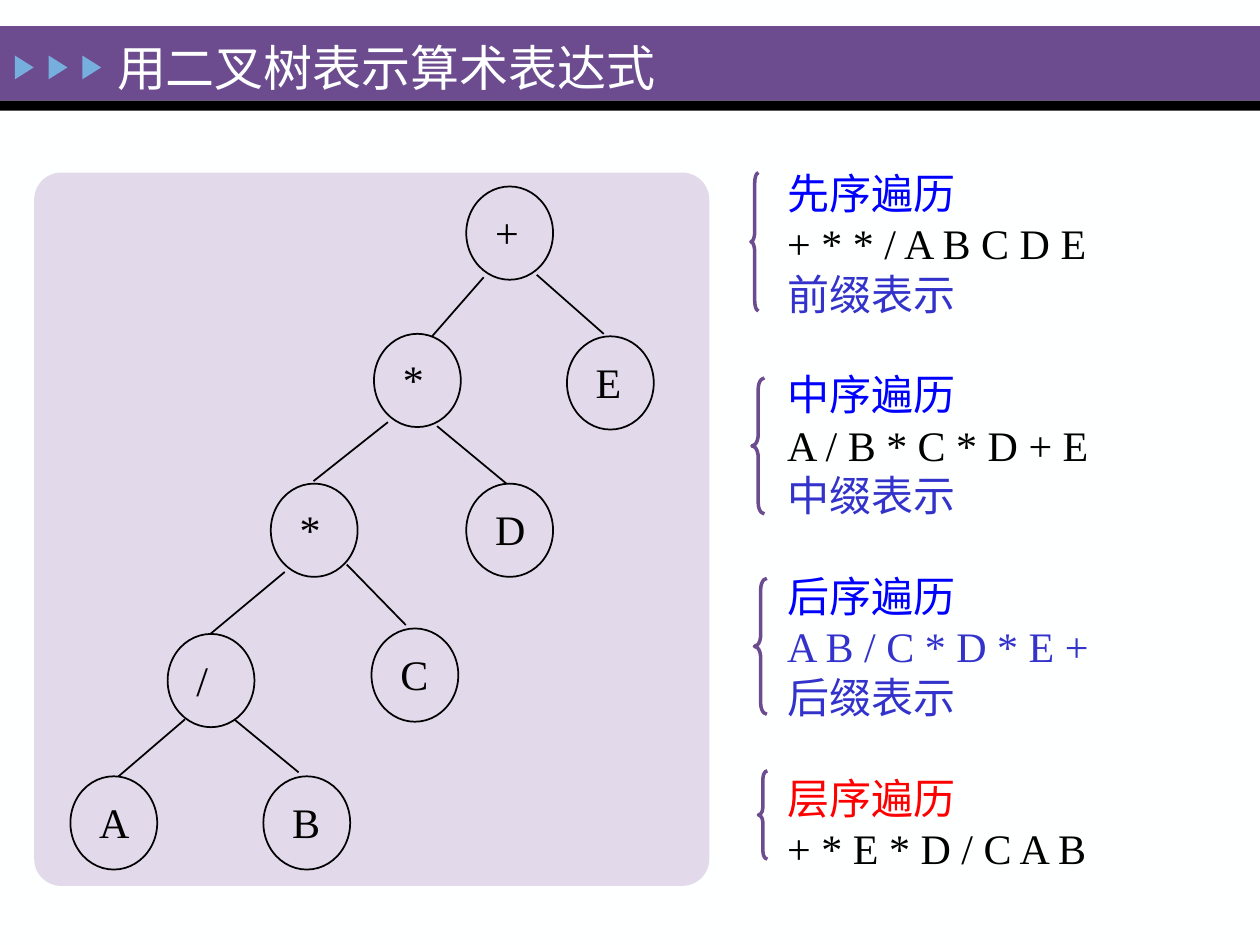
import pptx
import pptx.util
import pptx.dml.color
import pptx.enum.shapes
import pptx.enum.text
import pptx.oxml.ns
from lxml import etree

Cm, Pt = pptx.util.Cm, pptx.util.Pt
RGBColor = pptx.dml.color.RGBColor
SHAPE = pptx.enum.shapes.MSO_SHAPE
ANCHOR = pptx.enum.text.MSO_ANCHOR
FIT = pptx.enum.text.MSO_AUTO_SIZE

PURPLE = RGBColor(0x6C, 0x4C, 0x8F)
LILAC = RGBColor(0xE2, 0xD9, 0xEB)
SKY = RGBColor(0x76, 0xAE, 0xDD)
BLACK = RGBColor(0, 0, 0)
WHITE = RGBColor(0xFE, 0xFF, 0xFF)
BLUE = RGBColor(0, 0, 0xFF)
INDIGO = RGBColor(0x33, 0x33, 0xCC)
RED = RGBColor(0xFF, 0, 0)
FONT = "Times New Roman"

TITLE = "用二叉树表示算术表达式"
NODE_W, NODE_H = 1.75, 1.88
# label, left, top, label width
NODES = [
    ("+", 9.4, 3.76, 1.09),
    ("*", 7.54, 6.73, 1.04),
    ("E", 11.43, 6.78, 1.14),
    ("*", 5.46, 9.75, 1.04),
    ("D", 9.4, 9.75, 1.24),
    ("/", 3.38, 12.78, 0.81),
    ("C", 7.49, 12.67, 1.19),
    ("A", 1.42, 15.65, 1.24),
    ("B", 5.31, 15.65, 1.19),
]
# parent end x, y, child end x, y
EDGES = [
    (9.75, 5.59, 8.71, 6.78),
    (10.82, 5.54, 12.17, 6.73),
    (7.82, 8.51, 6.32, 9.7),
    (8.81, 8.59, 10.21, 9.75),
    (5.74, 11.53, 4.24, 12.78),
    (6.99, 11.38, 8.18, 12.6),
    (3.73, 14.5, 2.39, 15.65),
    (4.72, 14.5, 6.02, 15.57),
]
ORDERS = [
    [("先序遍历", BLUE), ("+ * * / A B C D E", BLACK), ("前缀表示", INDIGO)],
    [("中序遍历", BLUE), ("A / B * C * D + E", BLACK), ("中缀表示", INDIGO)],
    [("后序遍历", BLUE), ("A B / C * D * E +", INDIGO), ("后缀表示", INDIGO)],
    [("层序遍历", RED), ("+ * E * D / C A B", BLACK)],
]
# left, top, width, height, curl
BRACES = [
    (15.14, 3.48, 0.15, 2.79, 1.42),
    (15.16, 7.62, 0.25, 2.74, 0.9),
    (15.21, 11.66, 0.25, 2.74, 0.9),
    (15.29, 15.54, 0.18, 1.78, 0.86),
]

deck = pptx.Presentation()
deck.slide_width, deck.slide_height = Cm(25.4), Cm(19.05)
slide = deck.slides.add_slide(deck.slide_layouts[6])
slide.background.fill.solid()
slide.background.fill.fore_color.rgb = WHITE


def add_shape(kind, box, fill=None, line=None, width=1):
    shape = slide.shapes.add_shape(kind, *map(Cm, box))
    shape.shadow.inherit = False
    if fill is None:
        shape.fill.background()
    else:
        shape.fill.solid()
        shape.fill.fore_color.rgb = fill
    if line is None:
        shape.line.fill.background()
    else:
        shape.line.color.rgb = line
        shape.line.width = Pt(width)
    return shape


def add_text(groups, box, size=24, gap=0, wrap=False, anchor=ANCHOR.TOP):
    """Write groups of (line, colour), with gap points between groups."""
    frame = slide.shapes.add_textbox(*map(Cm, box)).text_frame
    frame.word_wrap = wrap
    frame.auto_size = FIT.NONE if wrap else FIT.SHAPE_TO_FIT_TEXT
    frame.vertical_anchor = anchor
    para = None
    for group in groups:
        for row, (text, color) in enumerate(group):
            first = para is None
            para = frame.paragraphs[0] if first else frame.add_paragraph()
            if row == 0 and not first:
                para.space_before = Pt(gap)
            run = para.add_run()
            run.text = text
            run.font.name, run.font.size = FONT, Pt(size)
            run.font.color.rgb = color


def add_edge(ends):
    edge = slide.shapes.add_connector(
        pptx.enum.shapes.MSO_CONNECTOR.STRAIGHT, *map(Cm, ends))
    edge.line.color.rgb = BLACK
    edge.line.width = Pt(1)
    etree.SubElement(edge._element.spPr, pptx.oxml.ns.qn("a:effectLst"))


add_shape(SHAPE.RECTANGLE, (0, 0.53, 25.4, 1.5), PURPLE)
add_shape(SHAPE.RECTANGLE, (0, 2.03, 25.4, 0.2), BLACK)
for i in range(3):
    mark = add_shape(SHAPE.ISOSCELES_TRIANGLE,
                     (0.25 + 0.68 * i, 1.17, 0.48, 0.38), SKY)
    mark.rotation = 90
add_text([[(TITLE, WHITE)]], (2.11, 0.64, 14.88, 1.42),
         size=28, wrap=True, anchor=ANCHOR.MIDDLE)

panel = add_shape(SHAPE.ROUNDED_RECTANGLE, (0.69, 3.48, 13.61, 14.38), LILAC)
panel.adjustments[0] = 0.04
for ends in EDGES:
    add_edge(ends)
for label, x, y, width in NODES:
    add_shape(SHAPE.OVAL, (x, y, NODE_W, NODE_H), line=BLACK)
    add_text([[(label, BLACK)]], (x + 0.33, y + 0.28, width, 1.52))

add_text(ORDERS, (15.62, 3.25, 6.76, 14.63), gap=28.8)
for *box, curl in BRACES:
    brace = add_shape(SHAPE.LEFT_BRACE, box, line=PURPLE, width=2)
    brace.adjustments[0] = curl

deck.save("out.pptx")
